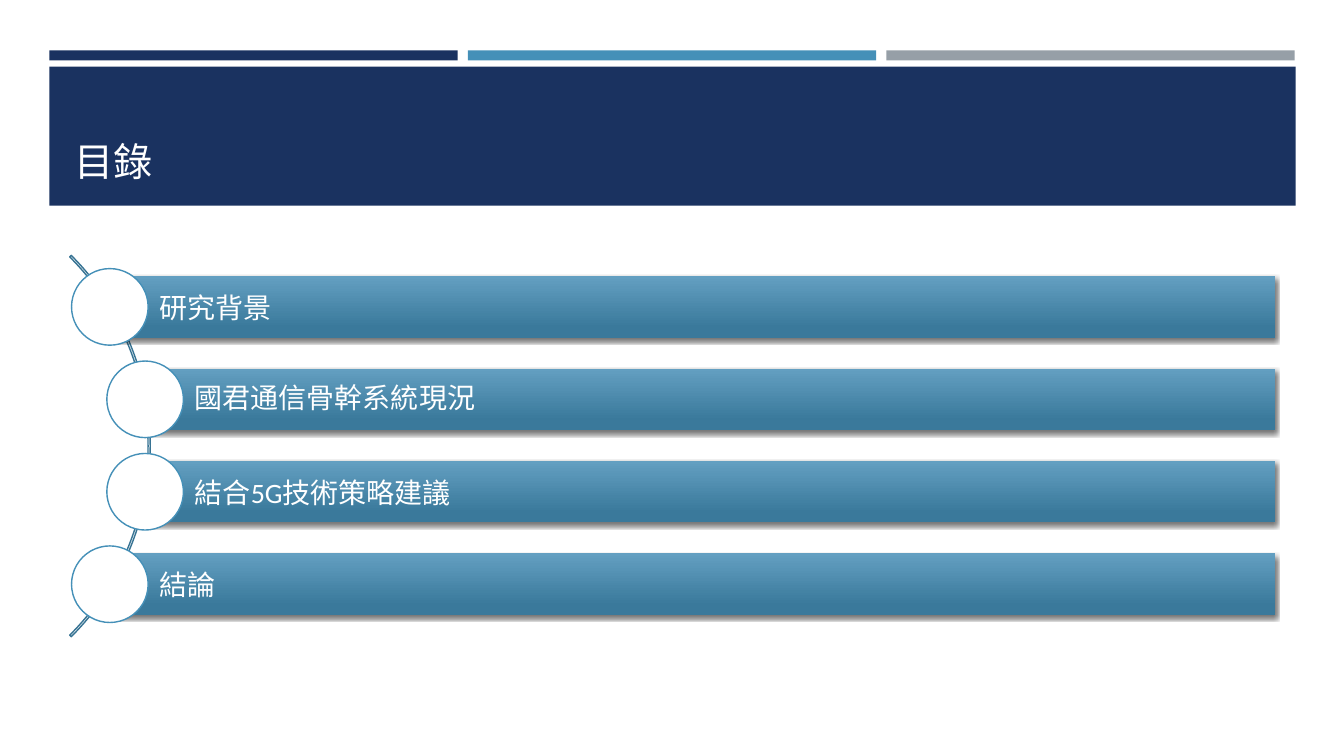
from lxml.etree import SubElement
from pptx import Presentation
from pptx.dml.color import RGBColor
from pptx.enum.shapes import MSO_SHAPE
from pptx.enum.text import MSO_ANCHOR, PP_ALIGN
from pptx.oxml.ns import qn
from pptx.util import Inches, Pt

TITLE = "目錄"
AGENDA = [
    ("研究背景", 0, 1),
    ("國君通信骨幹系統現況", 1, 0.9),
    ("結合5G技術策略建議", 1, 1),
    ("結論", 0, 1),
]
COLORS = {
    "navy": "1A3260", "blue": "4590B8", "grey": "969FA7", "white": "FFFFFF",
    "arc": "377393", "bar_top": "639FC1", "bar_bottom": "3A799B", "shadow": "000000",
}
STRIPS = ["navy", "blue", "grey"]

MARGIN, STRIP_W, STRIP_PITCH = 0.49, 4.05, 4.15
BAR_LEFT, BAR_RIGHT, BAR_TOP, BAR_H = 1.09, 12.65, 2.74, 0.61
PITCH, INDENT, CIRCLE, ARC = 0.917, 0.35, 0.76, 5.35


def rgb(name):
    return RGBColor.from_string(COLORS[name])


def add_shape(s, kind, left, top, width, height, fill=None, line=None):
    sp = s.shapes.add_shape(kind, *map(Inches, (left, top, width, height)))
    sp.shadow.inherit = False
    if fill:
        sp.fill.solid()
        sp.fill.fore_color.rgb = rgb(fill)
    else:
        sp.fill.background()
    if line:
        sp.line.color.rgb = rgb(line)
        sp.line.width = Pt(1)
    else:
        sp.line.fill.background()
    return sp


def set_text(sp, text, font, size, anchor):
    tf = sp.text_frame
    tf.word_wrap = True
    tf.vertical_anchor = anchor
    tf.text = text
    p = tf.paragraphs[0]
    p.alignment = PP_ALIGN.LEFT
    r = p.runs[0]
    r.font.name, r.font.size = font, Pt(size)
    r.font.color.rgb = rgb("white")
    return tf


def style_bar(sp):
    sp.fill.gradient()
    sp.fill.gradient_angle = 270
    for stop, name, pos in zip(sp.fill.gradient_stops, ("bar_top", "bar_bottom"), (0, 0.84)):
        stop.color.rgb = rgb(name)
        stop.position = pos
    effects = sp._element.spPr.find(qn("a:effectLst"))
    shadow = SubElement(effects, qn("a:outerShdw"), blurRad=str(Pt(3)), dist=str(Pt(2)),
                        dir="5400000", rotWithShape="0")
    color = SubElement(shadow, qn("a:srgbClr"), val=COLORS["shadow"])
    SubElement(color, qn("a:alpha"), val="55000")


def add_header(s):
    for i, name in enumerate(STRIPS):
        add_shape(s, MSO_SHAPE.RECTANGLE, MARGIN + i * STRIP_PITCH, 0.5, STRIP_W, 0.1, name)
    add_shape(s, MSO_SHAPE.RECTANGLE, MARGIN, 0.66, 12.36, 1.38, "navy")
    title = s.shapes.title
    title.left, title.top, title.width, title.height = map(Inches, (0.64, 0.8, 12.06, 1.08))
    set_text(title, TITLE, "Arial", 28, MSO_ANCHOR.BOTTOM)
    s.shapes._spTree.append(title._element)


def add_agenda(s):
    arc = add_shape(s, MSO_SHAPE.BLOCK_ARC, -3.86, 1.75, ARC, ARC, line="arc")
    for i, value in enumerate((189, 27, 0.004)):
        arc.adjustments[i] = value
    for row, (text, level, spacing) in enumerate(AGENDA):
        left, top = BAR_LEFT + level * INDENT, BAR_TOP + row * PITCH
        bar = add_shape(s, MSO_SHAPE.RECTANGLE, left, top, BAR_RIGHT - left, BAR_H)
        style_bar(bar)
        tf = set_text(bar, text, "Calibri", 20, MSO_ANCHOR.MIDDLE)
        tf.margin_left = Inches(0.49)
        tf.margin_right = tf.margin_top = tf.margin_bottom = Inches(0.06)
        tf.paragraphs[0].line_spacing = spacing
        add_shape(s, MSO_SHAPE.OVAL, left - CIRCLE / 2, top + (BAR_H - CIRCLE) / 2,
                  CIRCLE, CIRCLE, "white", "blue")


def main():
    prs = Presentation()
    prs.slide_width, prs.slide_height = Inches(13.33), Inches(7.5)
    s = prs.slides.add_slide(prs.slide_layouts[5])
    add_header(s)
    add_agenda(s)
    prs.save("out.pptx")


if __name__ == "__main__":
    main()
